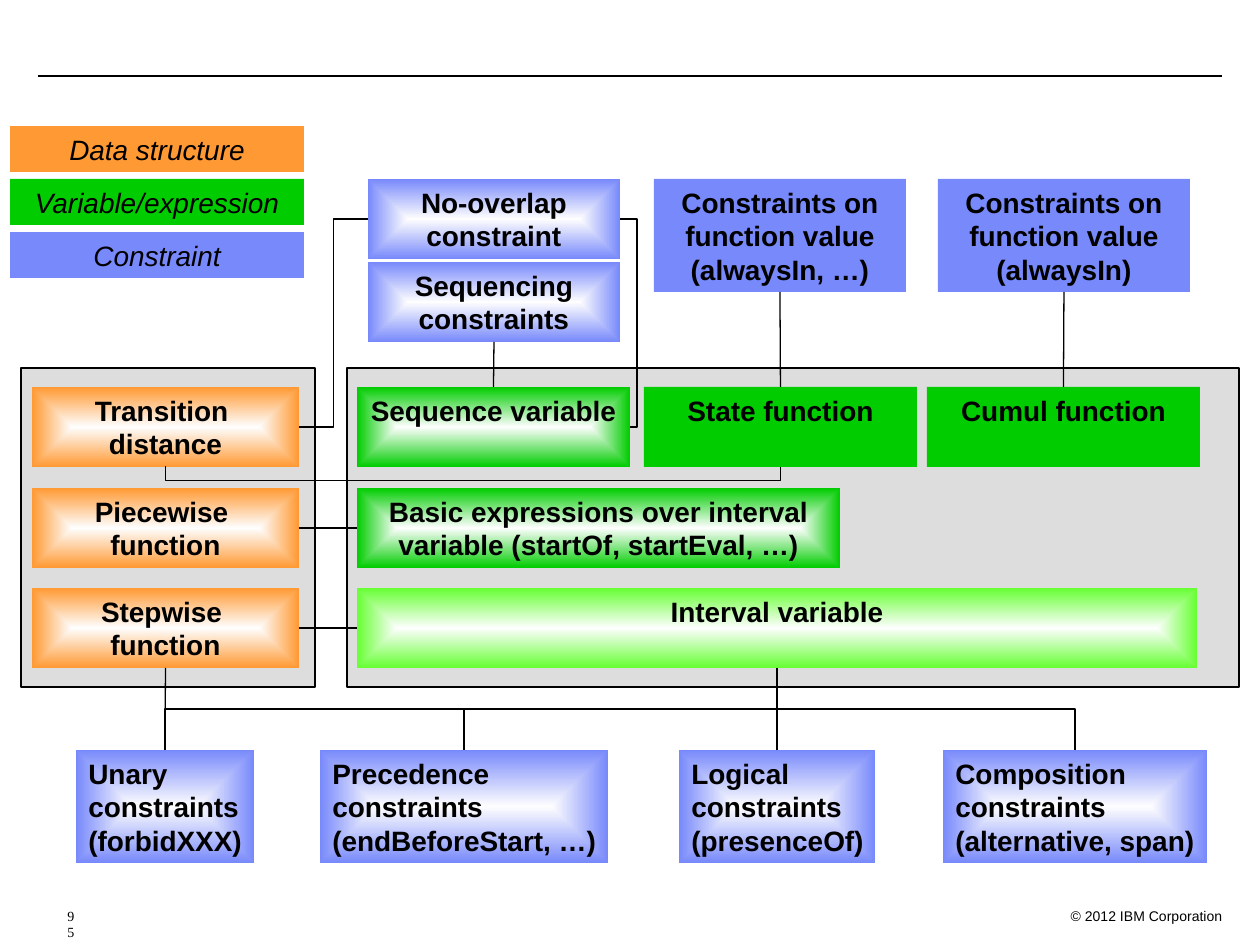
from dataclasses import dataclass
from typing import Optional

from lxml.etree import SubElement
from pptx import Presentation
from pptx.dml.color import RGBColor
from pptx.enum.shapes import MSO_CONNECTOR, MSO_SHAPE
from pptx.enum.text import MSO_ANCHOR, PP_ALIGN
from pptx.oxml import parse_xml
from pptx.oxml.ns import nsdecls, qn
from pptx.util import Pt

PX = 914400 / 126
TOP, LEFT, BOTTOM, RIGHT = range(4)


@dataclass(frozen=True)
class Theme:
    orange: str = "FF9933"
    green: str = "00CC00"
    lime: str = "66FF33"
    blue: str = "7889FB"
    panel: str = "DDDDDD"
    glow: str = "FEFEFE"
    ink: str = "000000"
    font: str = "Arial"
    number_font: str = "Times New Roman"
    body: int = 16
    small: int = 8
    line: float = 0.75


THEME = Theme()


@dataclass(frozen=True)
class Box:
    text: str
    x: int
    y: int
    width: int
    height: int
    color: str
    glowing: bool = True
    legend: bool = False
    centered: bool = True


@dataclass(frozen=True)
class Link:
    """Joins two boxes; bend is the distance from the start to the elbow."""
    start: str
    start_side: int
    end: str
    end_side: int
    elbow: bool = False
    bend: Optional[int] = None


ROWS = [387, 488, 588]
ROW_HEIGHT, TALL = 80, 113
UPPER, LOWER = 179, 750

PANELS = [(21, 294), (347, 892)]
LEGEND = [
    Box(text, 10, 126 + 53 * index, 294, 46, color, glowing=False, legend=True)
    for index, (text, color) in enumerate([
        ("Data structure", THEME.orange),
        ("Variable/expression", THEME.green),
        ("Constraint", THEME.blue)])
]
DATA_STRUCTURES = [
    Box(text, 32, y, 267, ROW_HEIGHT, THEME.orange)
    for text, y in zip(["Transition \ndistance", "Piecewise \nfunction",
                        "Stepwise \nfunction"], ROWS)
]
BOXES = {
    "transition": DATA_STRUCTURES[0],
    "piecewise": DATA_STRUCTURES[1],
    "stepwise": DATA_STRUCTURES[2],
    "sequence": Box("Sequence variable", 357, ROWS[0], 273, ROW_HEIGHT, THEME.green),
    "state": Box("State function", 644, ROWS[0], 273, ROW_HEIGHT, THEME.green, False),
    "cumul": Box("Cumul function", 927, ROWS[0], 273, ROW_HEIGHT, THEME.green, False),
    "basic": Box("Basic expressions over interval variable (startOf, startEval, …)",
                 357, ROWS[1], 483, ROW_HEIGHT, THEME.green),
    "interval": Box("Interval variable", 357, ROWS[2], 840, ROW_HEIGHT, THEME.lime),
    "no_overlap": Box("No-overlap\nconstraint", 368, UPPER, 252, ROW_HEIGHT, THEME.blue),
    "sequencing": Box("Sequencing\nconstraints", 368, 262, 252, ROW_HEIGHT, THEME.blue),
    "state_value": Box("Constraints on function value\n(alwaysIn, …)",
                       654, UPPER, 252, TALL, THEME.blue, False),
    "cumul_value": Box("Constraints on function value\n(alwaysIn)",
                       938, UPPER, 252, TALL, THEME.blue, False),
}
for key, word, example, x, width in [
        ("unary", "Unary", "forbidXXX", 76, 178),
        ("precedence", "Precedence", "endBeforeStart, …", 320, 288),
        ("logical", "Logical", "presenceOf", 679, 196),
        ("composition", "Composition", "alternative, span", 943, 264)]:
    BOXES[key] = Box(f"{word}\nconstraints\n({example})", x, LOWER, width, TALL,
                     THEME.blue, centered=False)

LINKS = [
    Link("stepwise", BOTTOM, "unary", TOP),
    Link("stepwise", RIGHT, "interval", LEFT),
    Link("piecewise", RIGHT, "basic", LEFT),
    Link("cumul", TOP, "cumul_value", BOTTOM),
    Link("state", TOP, "state_value", BOTTOM),
    Link("sequence", TOP, "sequencing", BOTTOM),
    Link("interval", BOTTOM, "logical", TOP),
    *[Link("interval", BOTTOM, end, TOP, elbow=True)
      for end in ("unary", "precedence", "composition")],
    Link("transition", RIGHT, "no_overlap", LEFT, elbow=True),
    Link("no_overlap", RIGHT, "sequence", RIGHT, elbow=True, bend=17),
    Link("transition", BOTTOM, "state", BOTTOM, elbow=True, bend=14),
]


def px(*lengths: int) -> list[int]:
    return [round(length * PX) for length in lengths]


def style_text(frame, size: int, font: str, align=PP_ALIGN.LEFT,
               bold: bool = False, italic: bool = False) -> None:
    frame.vertical_anchor = MSO_ANCHOR.TOP
    for paragraph in frame.paragraphs:
        paragraph.alignment = align
        for run in paragraph.runs:
            run.font.size, run.font.name = Pt(size), font
            run.font.bold, run.font.italic = bold, italic
            run.font.color.rgb = RGBColor.from_string(THEME.ink)


def style_line(line) -> None:
    line.color.rgb = RGBColor.from_string(THEME.ink)
    line.width = Pt(THEME.line)


def add_rectangle(slide, x: int, y: int, width: int, height: int, color: str):
    shape = slide.shapes.add_shape(MSO_SHAPE.RECTANGLE, *px(x, y, width, height))
    shape.shadow.inherit = False
    shape.fill.solid()
    shape.fill.fore_color.rgb = RGBColor.from_string(color)
    return shape


def add_glow(shape, color: str) -> None:
    """Swap the solid fill for a gradient that is light in the centre."""
    solid = shape._element.spPr.find(qn("a:solidFill"))
    solid.getparent().replace(solid, parse_xml(
        f'<a:gradFill {nsdecls("a")} rotWithShape="1"><a:gsLst>'
        f'<a:gs pos="0"><a:srgbClr val="{THEME.glow}"/></a:gs>'
        f'<a:gs pos="100000"><a:srgbClr val="{color}"/></a:gs></a:gsLst>'
        '<a:path path="rect"><a:fillToRect l="50000" t="50000" r="50000" b="50000"/>'
        '</a:path></a:gradFill>'))


def add_box(slide, box: Box):
    shape = add_rectangle(slide, box.x, box.y, box.width, box.height, box.color)
    shape.line.fill.background()
    if box.glowing:
        add_glow(shape, box.color)
    shape.text_frame.text = box.text
    shape.text_frame.word_wrap = box.centered
    style_text(shape.text_frame, THEME.body, THEME.font,
               PP_ALIGN.CENTER if box.centered else PP_ALIGN.LEFT,
               bold=not box.legend, italic=box.legend)
    return shape


def add_line(slide, kind, *ends: int):
    connector = slide.shapes.add_connector(kind, *px(*ends))
    style_line(connector.line)
    SubElement(connector._element.spPr, qn("a:effectLst"))
    return connector


def turn_downwards(connector) -> None:
    """Rotate an elbow so that it leaves and arrives vertically."""
    left, top, width, height = (connector.left, connector.top,
                                connector.width, connector.height)
    to_right = connector.end_x > connector.begin_x
    run = max(height, round(PX))
    connector.left, connector.top = left + (width - run) // 2, top + (height - width) // 2
    connector.width, connector.height = run, width
    transform = connector._element.spPr.find(qn("a:xfrm"))
    for flip in ("flipH", "flipV"):
        transform.attrib.pop(flip, None)
    transform.set("rot", str((270 if to_right else 90) * 60000))
    if to_right:
        transform.set("flipH", "1")


def add_link(slide, link: Link, shapes: dict) -> None:
    kind = MSO_CONNECTOR.ELBOW if link.elbow else MSO_CONNECTOR.STRAIGHT
    connector = add_line(slide, kind, 0, 0, 0, 0)
    connector.begin_connect(shapes[link.start], link.start_side)
    connector.end_connect(shapes[link.end], link.end_side)
    if link.elbow and link.start_side == BOTTOM:
        turn_downwards(connector)
    if link.bend:
        adjustment = round(link.bend * PX / connector.width * 100000)
        guides = connector._element.spPr.find(qn("a:prstGeom")).find(qn("a:avLst"))
        SubElement(guides, qn("a:gd"), name="adj1", fmla=f"val {adjustment}")


def add_footer(slide, text: str, x: int, width: int, font: str, align):
    text_box = slide.shapes.add_textbox(*px(x, 901, width, 25))
    text_box.text_frame.word_wrap = True
    text_box.text_frame.text = text
    style_text(text_box.text_frame, THEME.small, font, align)
    return text_box


def main() -> None:
    presentation = Presentation()
    presentation.slide_width, presentation.slide_height = px(1260, 945)
    slide = presentation.slides.add_slide(presentation.slide_layouts[6])
    add_line(slide, MSO_CONNECTOR.STRAIGHT, 38, 76, 1222, 76)
    add_footer(slide, "© 2012 IBM Corporation", 1046, 189, THEME.font, PP_ALIGN.RIGHT)
    for x, width in PANELS:
        style_line(add_rectangle(slide, x, 368, width, 319, THEME.panel).line)
    shapes = {key: add_box(slide, box) for key, box in BOXES.items()}
    for link in LINKS:
        add_link(slide, link, shapes)
    for box in LEGEND:
        add_box(slide, box)
    number = add_footer(slide, "95", 25, 50, THEME.number_font, PP_ALIGN.LEFT)
    properties = number.text_frame.paragraphs[0]._p.get_or_add_pPr()
    properties.set("marL", str(px(30)[0]))
    properties.set("indent", "0")
    presentation.save("out.pptx")


if __name__ == "__main__":
    main()
